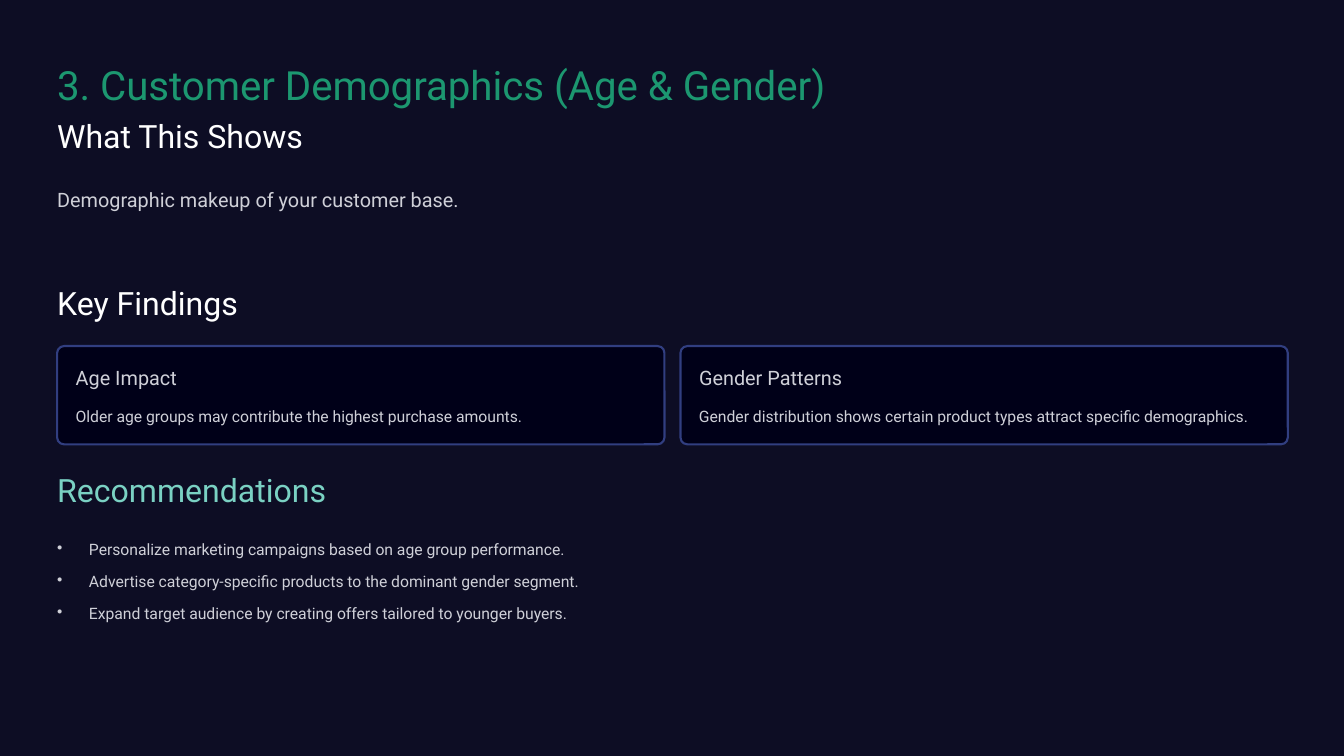
from lxml.etree import SubElement as Sub
from pptx import Presentation as Deck
from pptx.dml.color import RGBColor as Rgb
from pptx.enum.shapes import MSO_SHAPE as Kind
from pptx.oxml.ns import qn
from pptx.util import Inches, Pt

BACK = Rgb(0x0D, 0x0D, 0x24)
NAVY = Rgb(0x00, 0x00, 0x18)
EDGE = Rgb(0x31, 0x3E, 0x80)
GREEN = Rgb(0x1C, 0x97, 0x70)
MINT = Rgb(0x7A, 0xD1, 0xC3)
WHITE = Rgb(0xFF, 0xFF, 0xFF)
GREY = Rgb(0xCF, 0xD0, 0xD8)

LEFT, WIDE = 4.25, 91.5
CARD, PITCH, PAD = 45.19, 46.38, 1.38
STEP = 4.22
INDENT = Inches(0.38)

CARDS = [
    ("Age Impact",
     "Older age groups may contribute the highest purchase amounts."),
    ("Gender Patterns",
     "Gender distribution shows certain product types attract specific demographics."),
]
ADVICE = [
    "Personalize marketing campaigns based on age group performance.",
    "Advertise category‑specific products to the dominant gender segment.",
    "Expand target audience by creating offers tailored to younger buyers.",
]


def write(box, text, size=13.5, lead=22, color=GREY, bullet=False):
    frame = box.text_frame
    frame.word_wrap = True
    frame.margin_left = frame.margin_right = 0
    frame.margin_top = frame.margin_bottom = 0
    para = frame.paragraphs[0]
    para.line_spacing = Pt(lead)
    if bullet:
        props = para._p.get_or_add_pPr()
        props.set("marL", str(INDENT))
        props.set("indent", str(-INDENT))
        Sub(props, qn("a:buChar"), char="•")
    run = para.add_run()
    run.text = text
    run.font.name = "Roboto"
    run.font.size = Pt(size)
    run.font.color.rgb = color


class Page:
    """Draws styled elements on a slide, placed on a grid of 100 columns by 100 rows."""

    def __init__(self, deck):
        self.col = deck.slide_width / 100
        self.row = deck.slide_height / 100
        self.slide = deck.slides.add_slide(deck.slide_layouts[6])
        fill = self.slide.background.fill
        fill.solid()
        fill.fore_color.rgb = BACK

    def place(self, x, y, w, h):
        return (round(x * self.col), round(y * self.row),
                round(w * self.col), round(h * self.row))

    def text(self, text, x, y, w, h, **style):
        box = self.slide.shapes.add_textbox(*self.place(x, y, w, h))
        write(box, text, **style)

    def head(self, text, y, color=WHITE):
        self.text(text, LEFT, y, 24.2, 5.33, size=27.5, lead=34.5, color=color)

    def card(self, x, y, title, body):
        area = self.place(x, y, CARD, 13)
        panel = self.slide.shapes.add_shape(Kind.ROUNDED_RECTANGLE, *area)
        panel.shadow.inherit = False
        panel.adjustments[0] = 0.07
        panel.fill.solid()
        panel.fill.fore_color.rgb = NAVY
        tint = panel._element.spPr.find(qn("a:solidFill"))[0]
        Sub(tint, qn("a:alpha"), val="95000")
        panel.line.color.rgb = EDGE
        panel.line.width = Pt(1.8)
        self.text(title, x + PAD, y + 2.44, 15.13, 3.33, size=17, lead=21.5)
        self.text(body, x + PAD, y + 7.11, CARD - 2 * PAD, 3.44)

    def point(self, text, y):
        self.text(text, LEFT, y, WIDE, 3.44, bullet=True)


def main():
    deck = Deck()
    deck.slide_width, deck.slide_height = Inches(16), Inches(9)
    page = Page(deck)
    page.text("3. Customer Demographics (Age & Gender)", LEFT, 7.67, 58.31, 6.78,
              size=34.5, lead=43.5, color=GREEN)
    page.head("What This Shows", 15.22)
    page.text("Demographic makeup of your customer base.", LEFT, 23.78, WIDE, 4.33,
              size=17, lead=27.5)
    page.head("Key Findings", 37.22)
    for i, (title, body) in enumerate(CARDS):
        page.card(LEFT + i * PITCH, 45.78, title, body)
    page.head("Recommendations", 62, color=MINT)
    for i, text in enumerate(ADVICE):
        page.point(text, 70.56 + i * STEP)
    deck.save("out.pptx")


if __name__ == "__main__":
    main()
